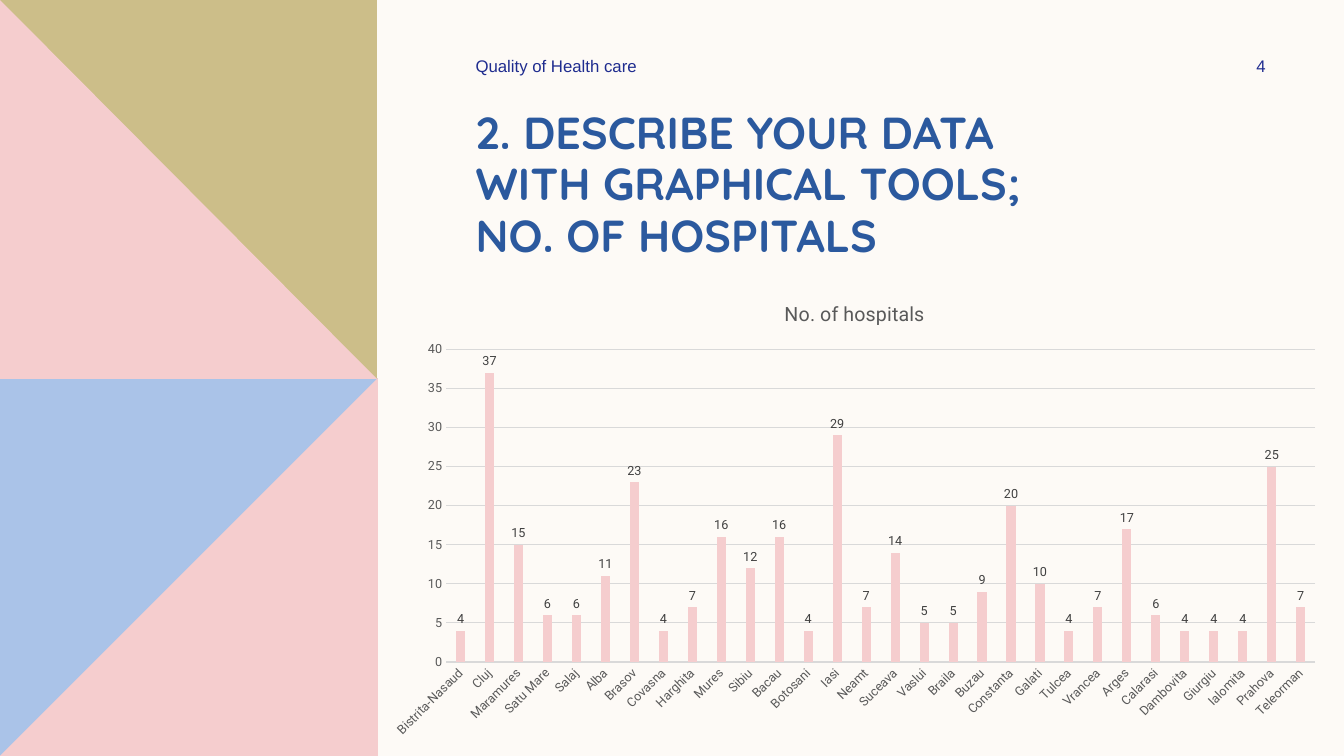
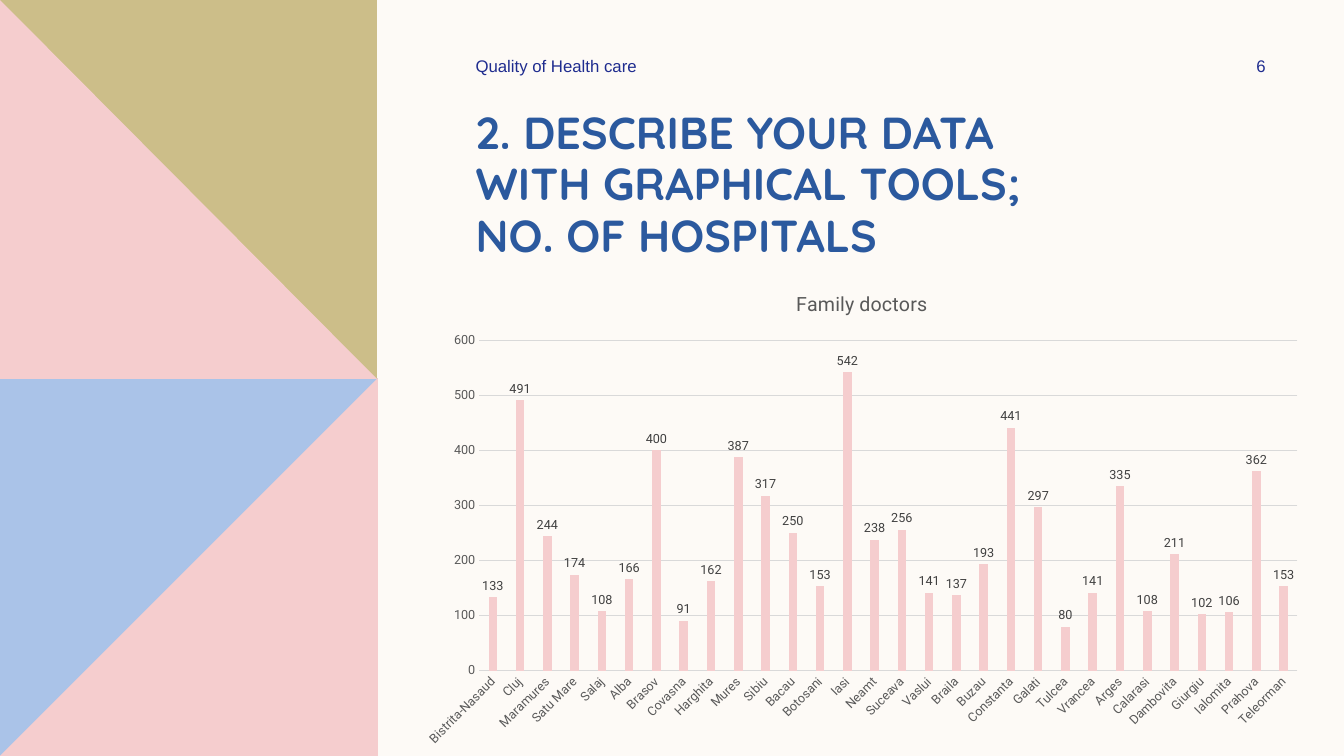
from dataclasses import dataclass

from lxml import etree
from pptx import Presentation
from pptx.chart.data import CategoryChartData
from pptx.dml.color import RGBColor
from pptx.enum.chart import XL_CHART_TYPE, XL_LABEL_POSITION, XL_TICK_MARK
from pptx.enum.shapes import MSO_SHAPE
from pptx.enum.text import MSO_ANCHOR, MSO_AUTO_SIZE, PP_ALIGN
from pptx.util import Pt

COLUMN = XL_CHART_TYPE.COLUMN_CLUSTERED
OUTSIDE = XL_LABEL_POSITION.OUTSIDE_END
NO_TICK = XL_TICK_MARK.NONE
RECT = MSO_SHAPE.RECTANGLE
TOP, MIDDLE = MSO_ANCHOR.TOP, MSO_ANCHOR.MIDDLE
NO_FIT = MSO_AUTO_SIZE.NONE
LEFT, CENTER = PP_ALIGN.LEFT, PP_ALIGN.CENTER


@dataclass(frozen=True)
class Theme:
    paper: str = "FDFAF6"
    blue: str = "AAC3E8"
    pink: str = "F5CDCE"
    olive: str = "CCBE89"
    title: str = "2B599E"
    navy: str = "1F2C8F"
    ink: str = "000000"
    grey: str = "595959"
    label: str = "404040"
    rule: str = "D9D9D9"
    head_font: str = "Quicksand"
    note_font: str = "Arial"
    chart_font: str = "Roboto"
    head_size: float = 32
    note_size: float = 12
    name_size: float = 14
    chart_size: float = 10
    axis_size: float = 9


THEME = Theme()

COUNTIES = [
    "Bistrita-Nasaud", "Cluj", "Maramures", "Satu Mare", "Salaj", "Alba",
    "Brasov", "Covasna", "Harghita", "Mures", "Sibiu", "Bacau", "Botosani",
    "Iasi", "Neamt", "Suceava", "Vaslui", "Braila", "Buzau", "Constanta",
    "Galati", "Tulcea", "Vrancea", "Arges", "Calarasi", "Dambovita",
    "Giurgiu", "Ialomita", "Prahova", "Teleorman",
]
HOSPITALS = [
    4, 37, 15, 6, 6, 11, 23, 4, 7, 16, 12, 16, 4, 29, 7,
    14, 5, 5, 9, 20, 10, 4, 7, 17, 6, 4, 4, 4, 25, 7,
]
DOCTORS = [
    133, 491, 244, 174, 108, 166, 400, 91, 162, 387, 317, 250, 153, 542, 238,
    256, 141, 137, 193, 441, 297, 80, 141, 335, 108, 211, 102, 106, 362, 153,
]
TITLE = ["2. DESCRIBE YOUR DATA WITH GRAPHICAL TOOLS;", "NO. OF HOSPITALS"]
SLIDES = [
    ("4", "No. of hospitals", HOSPITALS, 40, 5, (267.8, 201.6, 685.4, 331.9)),
    ("6", "Family doctors", DOCTORS, 600, 100, (291.6, 194.4, 648, 345.6)),
]


def points(values):
    return [Pt(value) for value in values]


def paint(fill, color):
    fill.solid()
    fill.fore_color.rgb = RGBColor.from_string(color)


def style(font, face, size, color, bold=False):
    font.name = face
    font.size = Pt(size)
    font.bold = bold
    font.color.rgb = RGBColor.from_string(color)


def finish(shape, color):
    paint(shape.fill, color)
    shape.line.fill.background()
    shape.shadow.inherit = False
    return shape


def add_block(slide, box, color):
    return finish(slide.shapes.add_shape(RECT, *points(box)), color)


def add_wedge(slide, corners, color):
    start, *rest = [tuple(points(corner)) for corner in corners]
    outline = slide.shapes.build_freeform(*start)
    outline.add_line_segments(rest)
    return finish(outline.convert_to_shape(), color)


def add_band(slide, layout):
    half, wide, low = 270, 269.3, 270.7
    parts = [
        add_block(slide, (0, half, half, half), THEME.blue),
        add_wedge(slide, [(half, half), (half, 2 * half), (0, 2 * half)],
                  THEME.pink),
        add_block(slide, (0, 0, wide, low), THEME.olive),
        add_wedge(slide, [(0, 0), (wide, low), (0, low)], THEME.pink),
    ]
    for part in parts:
        layout.shapes.element.append(part.element)


def add_title(slide):
    title = slide.shapes.title
    title.left, title.top, title.width, title.height = points(
        (332.6, 73.4, 469.4, 82.1))
    frame = title.text_frame
    frame.word_wrap = True
    frame.auto_size = NO_FIT
    frame.vertical_anchor = TOP
    para = frame.paragraphs[0]
    para.alignment = LEFT
    para.line_spacing = 0.96
    for index, line in enumerate(TITLE):
        if index:
            para.add_line_break()
        run = para.add_run()
        run.text = line
        style(run.font, THEME.head_font, THEME.head_size, THEME.title, True)


def add_note(slide, text, box, align):
    frame = slide.shapes.add_textbox(*points(box)).text_frame
    frame.word_wrap = True
    frame.vertical_anchor = MIDDLE
    para = frame.paragraphs[0]
    para.alignment = align
    run = para.add_run()
    run.text = text
    style(run.font, THEME.note_font, THEME.note_size, THEME.navy)


def set_line(line, color):
    paint(line.fill, color)
    line.width = Pt(0.75)


def set_axis(axis):
    axis.major_tick_mark = axis.minor_tick_mark = NO_TICK
    style(axis.tick_labels.font, THEME.chart_font, THEME.axis_size, THEME.grey)


def tilt(axis, angle):
    body = axis.tick_labels.font
    frame = axis._element.txPr.bodyPr if body is not None else None
    frame.set("rot", str(angle * 60000))
    frame.set("vert", "horz")


def add_columns(slide, name, values, limit, step, box):
    data = CategoryChartData()
    data.categories = COUNTIES
    data.add_series(name, values)
    chart = slide.shapes.add_chart(COLUMN, *points(box), data).chart
    style(chart.font, THEME.chart_font, THEME.chart_size, THEME.ink)
    chart.has_legend = False
    chart.has_title = True
    run = chart.chart_title.text_frame.paragraphs[0].add_run()
    run.text = name
    style(run.font, THEME.chart_font, THEME.name_size, THEME.grey)
    chart.chart_title.include_in_layout = False

    across, up = chart.category_axis, chart.value_axis
    set_axis(across)
    tilt(across, -45)
    set_line(across.format.line, THEME.rule)
    set_axis(up)
    up.format.line.fill.background()
    up.minimum_scale, up.maximum_scale, up.major_unit = 0, limit, step
    up.has_major_gridlines = True
    set_line(up.major_gridlines.format.line, THEME.rule)

    plot = chart.plots[0]
    plot.vary_by_categories = False
    plot.gap_width = 219
    plot.overlap = -27
    series = plot.series[0]
    paint(series.format.fill, THEME.pink)
    labels = series.data_labels
    labels.show_value = True
    labels.position = OUTSIDE
    style(labels.font, THEME.chart_font, THEME.axis_size, THEME.label)


def main():
    deck = Presentation()
    deck.slide_width, deck.slide_height = points((960, 540))
    paint(deck.slide_master.background.fill, THEME.paper)
    layout = deck.slide_layouts[5]
    for index, (number, *chart) in enumerate(SLIDES):
        slide = deck.slides.add_slide(layout)
        if index == 0:
            add_band(slide, layout)
        add_title(slide)
        add_note(slide, "Quality of Health care", (332.6, 36, 252, 21.6), LEFT)
        add_note(slide, number, (861.8, 36, 77.8, 21.6), CENTER)
        add_columns(slide, *chart)
    deck.save("out.pptx")


if __name__ == "__main__":
    main()
